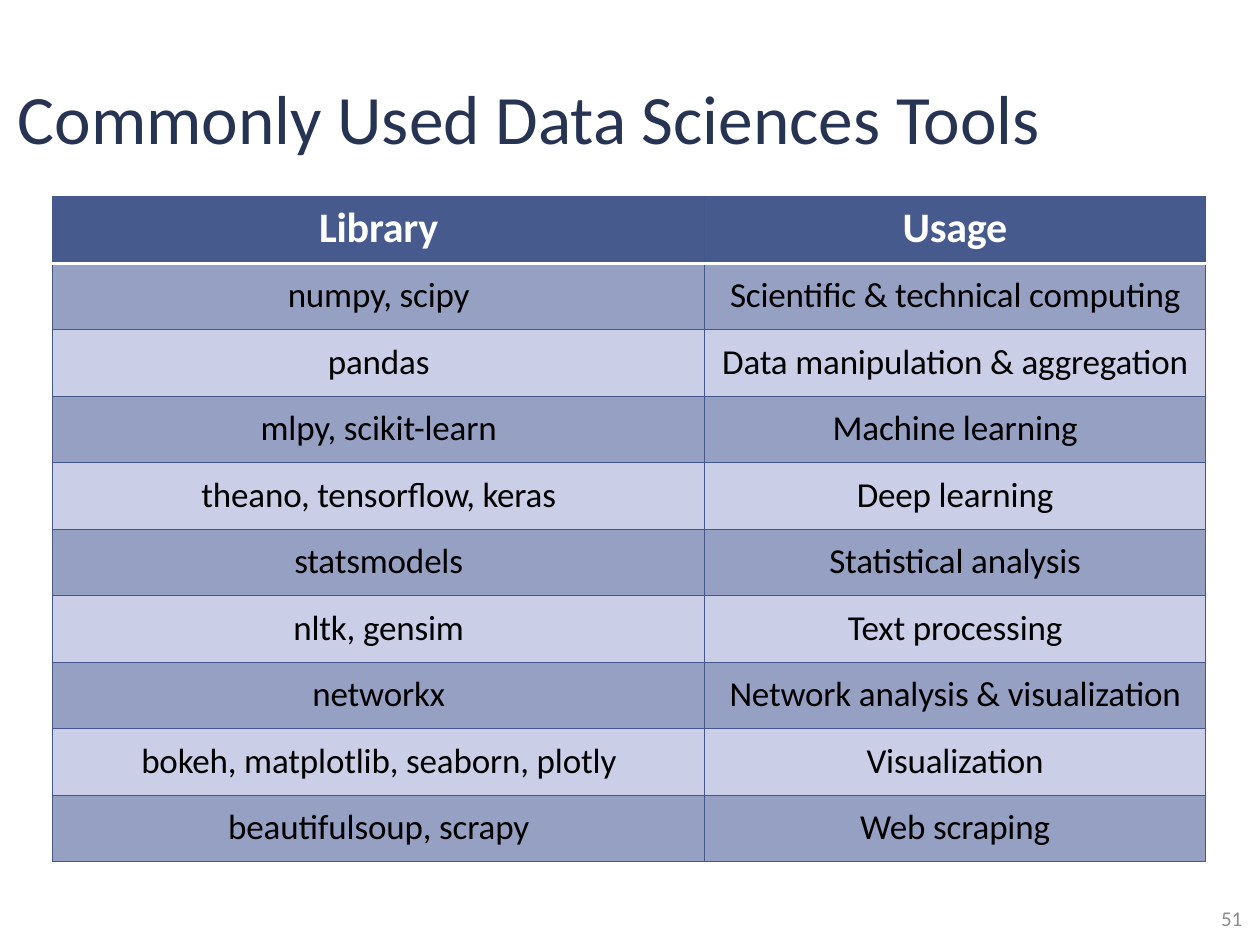
from lxml import etree
from pptx import Presentation
from pptx.dml.color import RGBColor
from pptx.enum.text import MSO_ANCHOR, PP_ALIGN
from pptx.oxml.ns import qn
from pptx.util import Inches, Pt

CENTER, RIGHT = PP_ALIGN.CENTER, PP_ALIGN.RIGHT
TOP, MIDDLE = MSO_ANCHOR.TOP, MSO_ANCHOR.MIDDLE
HEADER_FILL, DARK_FILL, LIGHT_FILL = "475A8D", "96A0C3", "CACEE7"
GRID, WHITE = "44578C", "FFFFFF"


def write(frame, text, size, color="000000", bold=False, align=CENTER, spacing=0):
    para = frame.paragraphs[0]
    para.alignment = align
    span = para.add_run()
    span.text = text
    font = span.font
    font.name, font.size, font.bold = "Calibri", Pt(size), bold
    font.color.rgb = RGBColor.from_string(color)
    if spacing:
        span._r.get_or_add_rPr().set("spc", str(int(spacing * 100)))


def add_border(cell, side, color, width):
    line = etree.SubElement(cell._tc.get_or_add_tcPr(), qn(f"a:ln{side}"), w=str(Pt(width)))
    fill = etree.SubElement(line, qn("a:solidFill"))
    etree.SubElement(fill, qn("a:srgbClr"), val=color)


deck = Presentation()
deck.slide_width, deck.slide_height = Inches(10), Inches(7.5)
page = deck.slides.add_slide(deck.slide_layouts[6])

# Page number
box = page.shapes.add_textbox(Inches(9.46), Inches(7.16), Inches(0.4), Inches(0.26))
frame = box.text_frame
frame.word_wrap = True
frame.vertical_anchor = MIDDLE
frame.margin_left = frame.margin_top = frame.margin_right = frame.margin_bottom = 0
write(frame, "51", 12, color="8C8C8C", align=RIGHT)

# Library table
rows = [
    ("Library", "Usage"),
    ("numpy, scipy", "Scientific & technical computing"),
    ("pandas", "Data manipulation & aggregation"),
    ("mlpy, scikit-learn", "Machine learning"),
    ("theano, tensorflow, keras", "Deep learning"),
    ("statsmodels", "Statistical analysis"),
    ("nltk, gensim", "Text processing"),
    ("networkx", "Network analysis & visualization"),
    ("bokeh, matplotlib, seaborn, plotly", "Visualization"),
    ("beautifulsoup, scrapy", "Web scraping"),
]
widths = (5.17, 3.98)
table = page.shapes.add_table(len(rows), len(widths), Inches(0.42), Inches(1.56),
                              Inches(sum(widths)), Inches(5.28)).table
for column, width in zip(table.columns, widths):
    column.width = Inches(width)

for row_index, texts in enumerate(rows):
    is_header = row_index == 0
    for column_index, text in enumerate(texts):
        cell = table.cell(row_index, column_index)
        cell.vertical_anchor = TOP
        cell.margin_left = cell.margin_right = cell.margin_bottom = 0
        cell.margin_top = Inches(0.05 if is_header else 0.09)
        # A thick white rule parts the header from the body
        for side in "LRTB":
            white_rule = (row_index, side) in ((0, "B"), (1, "T"))
            add_border(cell, side, WHITE if white_rule else GRID, 2 if white_rule else 0.75)
        fill = HEADER_FILL if is_header else DARK_FILL if row_index % 2 else LIGHT_FILL
        cell.fill.solid()
        cell.fill.fore_color.rgb = RGBColor.from_string(fill)
        write(cell.text_frame, text, 24 if is_header else 20,
              color=WHITE if is_header else "000000", bold=is_header, spacing=-0.1)

# Title
box = page.shapes.add_textbox(Inches(0), Inches(0.3), Inches(8.4), Inches(1.25))
box.text_frame.word_wrap = True
box.text_frame.vertical_anchor = MIDDLE
write(box.text_frame, "Commonly Used Data Sciences Tools", 39.6, color="273352")

deck.save("out.pptx")
